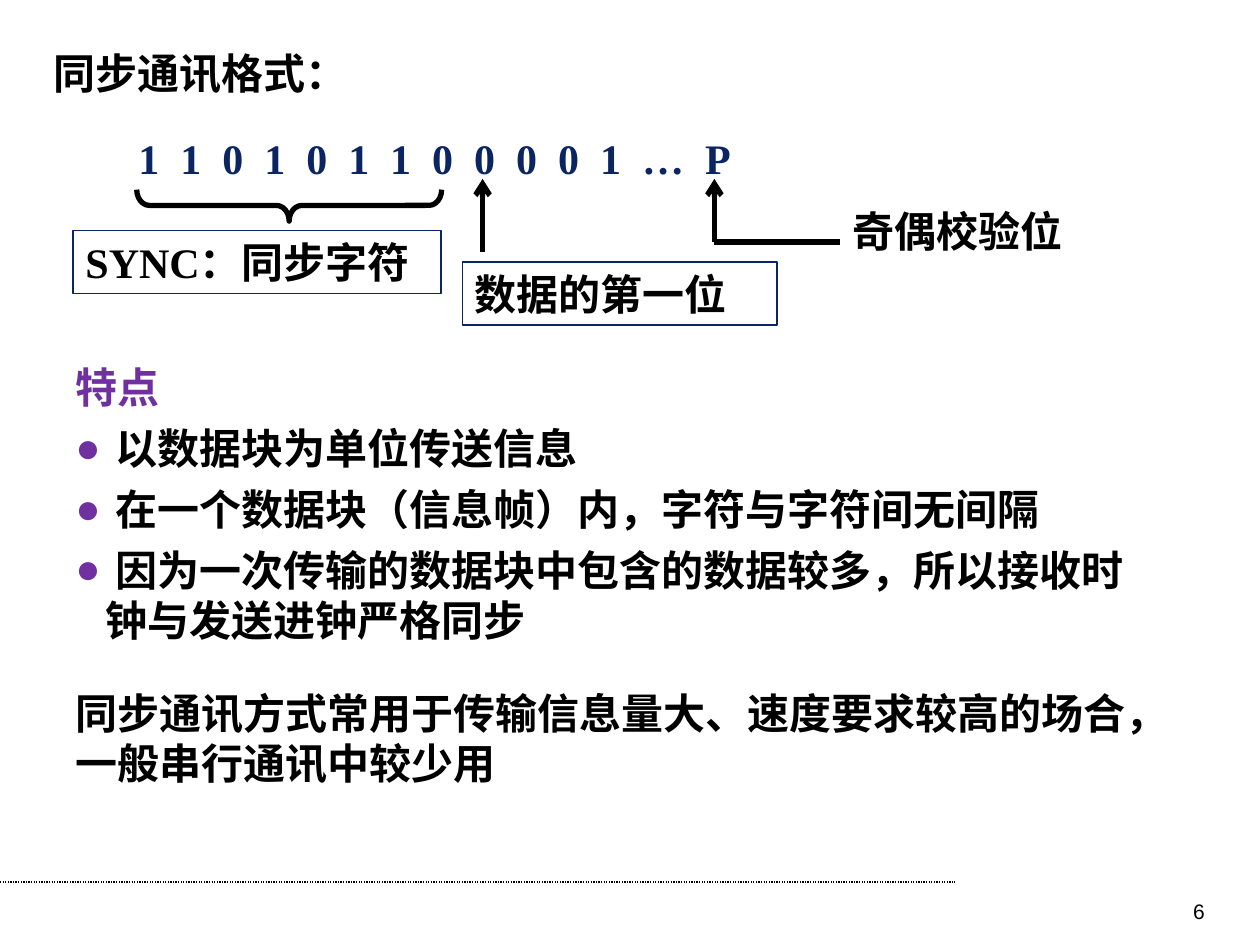
"""Build the slide on the synchronous communication format."""
from lxml.etree import SubElement
from pptx import Presentation
from pptx.dml.color import RGBColor
from pptx.enum.dml import MSO_LINE_DASH_STYLE as Dash
from pptx.enum.shapes import MSO_CONNECTOR as Connector, MSO_SHAPE as Shape
from pptx.enum.text import MSO_ANCHOR as Anchor, PP_ALIGN as Align
from pptx.oxml.ns import qn
from pptx.util import Inches, Pt

BLACK = RGBColor(0x00, 0x00, 0x00)
NAVY = RGBColor(0x0A, 0x25, 0x62)
PURPLE = RGBColor(0x70, 0x30, 0xA0)
SERIF = "Times New Roman"
SANS = "Arial"
CHINESE = "Noto Sans CJK SC"


class FormatSlide:
    def __init__(self, slide):
        self.shapes = slide.shapes
        self.size = Pt(24)

    def style(self, paragraph, color=BLACK, font=SERIF, size=None, bold=True, spacing=0):
        for run in paragraph.runs:
            run.font.name = font
            run.font.size = size or self.size
            run.font.bold = bold
            run.font.color.rgb = color
            properties = run.font._element
            if spacing:
                properties.set("spc", str(spacing))
            SubElement(properties, qn("a:ea"), typeface=CHINESE)

    def text(self, left, top, width, height, wording, align=Align.LEFT, **look):
        box = self.shapes.add_textbox(Inches(left), Inches(top), Inches(width), Inches(height))
        frame = box.text_frame
        frame.word_wrap = True
        frame.text = wording
        frame.paragraphs[0].alignment = align
        self.style(frame.paragraphs[0], **look)
        return frame

    def paragraph(self, frame, wording, before, **look):
        paragraph = frame.add_paragraph()
        paragraph.text = wording
        paragraph.space_before = Pt(before)
        self.style(paragraph, **look)
        return paragraph

    def bullet(self, frame, wording):
        properties = self.paragraph(frame, wording, 6, font=SANS)._p.get_or_add_pPr()
        hang = Inches(0.24)
        properties.set("marL", str(hang))
        properties.set("indent", str(-hang))
        color = SubElement(properties, qn("a:buClr"))
        SubElement(color, qn("a:srgbClr"), val=str(PURPLE))
        SubElement(properties, qn("a:buFont"), typeface=SANS)
        SubElement(properties, qn("a:buChar"), char="●")

    def outline(self, kind, left, top, width, height, color, weight):
        shape = self.shapes.add_shape(kind, Inches(left), Inches(top), Inches(width), Inches(height))
        shape.shadow.inherit = False
        shape.fill.background()
        shape.line.color.rgb = color
        shape.line.width = Pt(weight)
        return shape

    def label(self, left, top, width, wording):
        frame = self.outline(Shape.RECTANGLE, left, top, width, 0.5, NAVY, 1).text_frame
        frame.word_wrap = True
        frame.vertical_anchor = Anchor.TOP
        frame.text = wording
        frame.paragraphs[0].alignment = Align.LEFT
        self.style(frame.paragraphs[0])

    def brace(self, left, top, width, height):
        brace = self.outline(Shape.LEFT_BRACE, left, top, width, height, BLACK, 3)
        brace.adjustments[0] = 0.4
        brace.rotation = 270

    def line(self, x1, y1, x2, y2, weight=3, arrow=False, dash=None):
        line = self.shapes.add_connector(
            Connector.STRAIGHT, Inches(x1), Inches(y1), Inches(x2), Inches(y2))
        line.line.color.rgb = BLACK
        line.line.width = Pt(weight)
        if dash:
            line.line.dash_style = dash
        if arrow:
            SubElement(line.line._get_or_add_ln(), qn("a:headEnd"), type="arrow")
        SubElement(line._element.spPr, qn("a:effectLst"))


def main():
    deck = Presentation()
    deck.slide_width, deck.slide_height = Inches(10), Inches(7.5)
    page = FormatSlide(deck.slides.add_slide(deck.slide_layouts[6]))

    page.line(0, 7, 7.58, 7, weight=0.75, dash=Dash.ROUND_DOT)
    page.text(0.33, 0.33, 5.33, 0.5, "同步通讯格式：")

    page.text(1, 1, 7.08, 0.5, "1 1 0 1 0 1 1 0 0 0 0 1 … P", color=NAVY, spacing=300)
    page.brace(2.17, 0.42, 0.25, 2.42)
    page.label(0.58, 1.83, 2.92, "SYNC：同步字符")
    page.line(3.83, 1.42, 3.83, 2, arrow=True)
    page.label(3.67, 2.08, 2.5, "数据的第一位")
    page.line(5.67, 1.42, 5.67, 1.92, arrow=True)
    page.line(5.67, 1.92, 6.67, 1.92)
    page.text(6.67, 1.58, 2.25, 0.5, "奇偶校验位")

    features = page.text(0.5, 2.82, 8.67, 3.49, "特点", color=PURPLE, font=CHINESE)
    for feature in (
        " 以数据块为单位传送信息",
        " 在一个数据块（信息帧）内，字符与字符间无间隔",
        " 因为一次传输的数据块中包含的数据较多，所以接收时钟与发送进钟严格同步",
    ):
        page.bullet(features, feature)
    page.paragraph(features, "同步通讯方式常用于传输信息量大、速度要求较高的场合，一般串行通讯中较少用", 24)

    page.text(7.33, 7.08, 2.33, 0.27, "6", align=Align.RIGHT, font=SANS, size=Pt(12), bold=False)
    deck.save("out.pptx")


if __name__ == "__main__":
    main()
